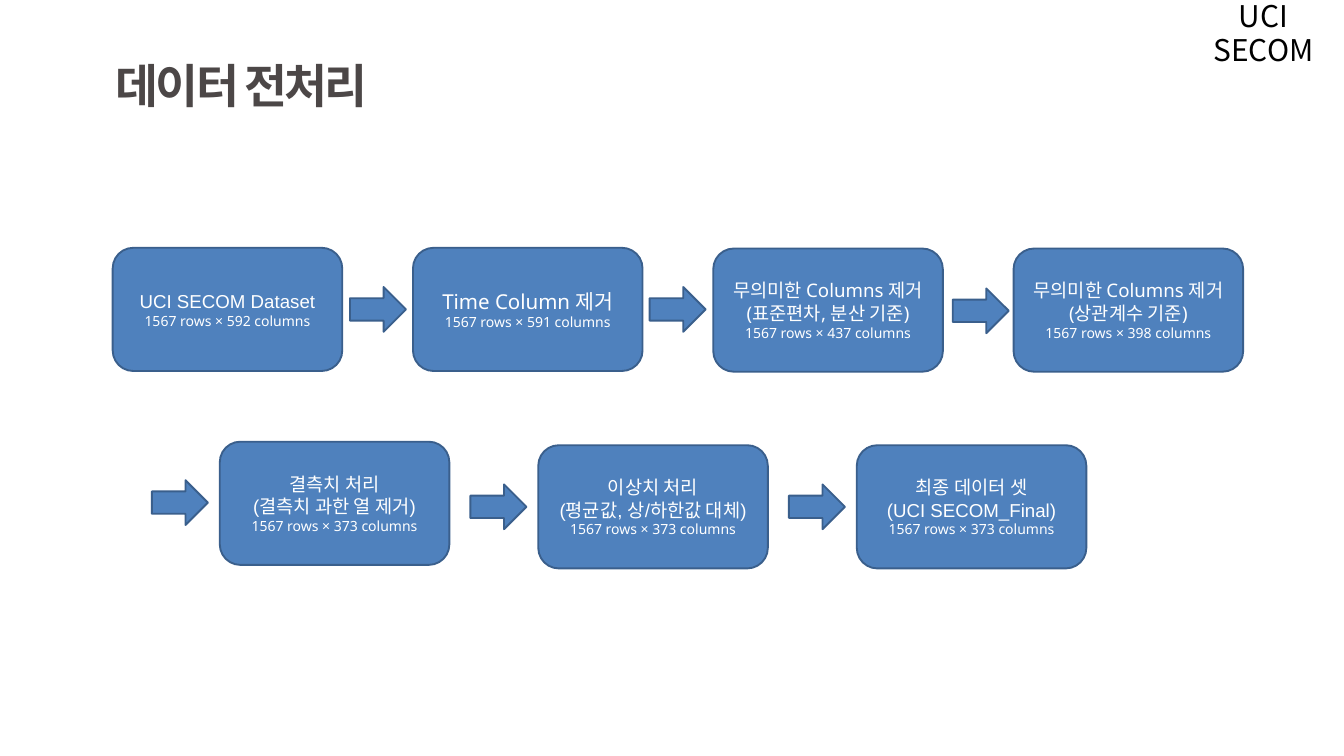
from lxml.etree import SubElement
from pptx import Presentation
from pptx.dml.color import RGBColor
from pptx.enum.shapes import MSO_SHAPE
from pptx.enum.text import MSO_ANCHOR, PP_ALIGN
from pptx.oxml.ns import qn
from pptx.util import Pt

PX = 9525
COLORS = {"title": "4C4747", "label": "000000", "fill": "4F81BD", "line": "3A5F8C", "text": "FFFFFF"}
KOREAN = "Noto Sans CJK KR"
BOX_SIZE = (328, 176)
ARROW_SIZE = (80, 64)


def write_line(paragraph, text, size, font_name, color, spacing, bold=False):
    paragraph.line_spacing = Pt(spacing)
    run = paragraph.add_run()
    run.text = text
    font_format = {"size": Pt(size), "name": font_name, "bold": bold}
    for attribute, value in font_format.items():
        setattr(run.font, attribute, value)
    run.font.color.rgb = RGBColor.from_string(COLORS[color])
    properties = run.font._element
    east_asian = SubElement(properties, qn("a:ea"))
    east_asian.set("typeface", KOREAN)
    return properties


def add_block(kind, left, top, size):
    shape = slide.shapes.add_shape(kind, *(value * PX for value in (left, top, *size)))
    shape.shadow.inherit = False
    shape.fill.solid()
    shape.fill.fore_color.rgb = RGBColor.from_string(COLORS["fill"])
    shape.line.color.rgb = RGBColor.from_string(COLORS["line"])
    shape.line.width = Pt(2)
    return shape


presentation = Presentation()
presentation.slide_width = 1920 * PX
presentation.slide_height = 1080 * PX
slide = presentation.slides.add_slide(presentation.slide_layouts[6])

title = slide.shapes.add_textbox(156 * PX, 72 * PX, 419 * PX, 90 * PX)
title.text_frame.word_wrap = True
title_properties = write_line(title.text_frame.paragraphs[0], "데이터 전처리", 50, KOREAN, "title", 63, True)
title_properties.set("spc", "-300")

label = slide.shapes.add_textbox(1701 * PX, 19 * PX, 208 * PX, 57 * PX)
label_format = {"word_wrap": True, "vertical_anchor": MSO_ANCHOR.MIDDLE}
for attribute, value in label_format.items():
    setattr(label.text_frame, attribute, value)
label_paragraph = label.text_frame.paragraphs[0]
label_paragraph.alignment = PP_ALIGN.CENTER
write_line(label_paragraph, "UCI SECOM", 32, KOREAN, "label", 37)

rows = [
    {
        "left": 161,
        "step": 429,
        "arrows": [(500, 410), (928, 410), (1361, 412)],
        "steps": [
            (354, "Arial", 20, ["UCI SECOM Dataset"], 592),
            (354, "Noto Sans", 22, ["Time Column 제거"], 591),
            (355, "Noto Sans", 20, ["무의미한 Columns 제거", "(표준편차, 분산 기준)"], 437),
            (355, "Noto Sans", 20, ["무의미한 Columns 제거", "(상관계수 기준)"], 398),
        ],
    },
    {
        "left": 314,
        "step": 455,
        "arrows": [(217, 686), (672, 692), (1127, 692)],
        "steps": [
            (631, "Arial", 20, ["결측치 처리", "(결측치 과한 열 제거)"], 373),
            (636, "Arial", 20, ["이상치 처리", "(평균값, 상/하한값 대체)"], 373),
            (636, "Arial", 20, ["최종 데이터 셋", "(UCI SECOM_Final)"], 373),
        ],
    },
]

for row in rows:
    for left, top in row["arrows"]:
        add_block(MSO_SHAPE.RIGHT_ARROW, left, top, ARROW_SIZE)
    for index, (top, font_name, size, headings, columns) in enumerate(row["steps"]):
        box = add_block(MSO_SHAPE.ROUNDED_RECTANGLE, row["left"] + index * row["step"], top, BOX_SIZE)
        frame = box.text_frame
        frame.word_wrap = True
        frame.vertical_anchor = MSO_ANCHOR.MIDDLE
        lines = [(heading, size, font_name) for heading in headings]
        lines.append((f"1567 rows × {columns} columns", 15, "Noto Sans"))
        for number, (text, text_size, text_font) in enumerate(lines):
            paragraph = frame.add_paragraph() if number else frame.paragraphs[0]
            paragraph.alignment = PP_ALIGN.CENTER
            write_line(paragraph, text, text_size, text_font, "text", round(text_size * 1.18))

presentation.save("out.pptx")
